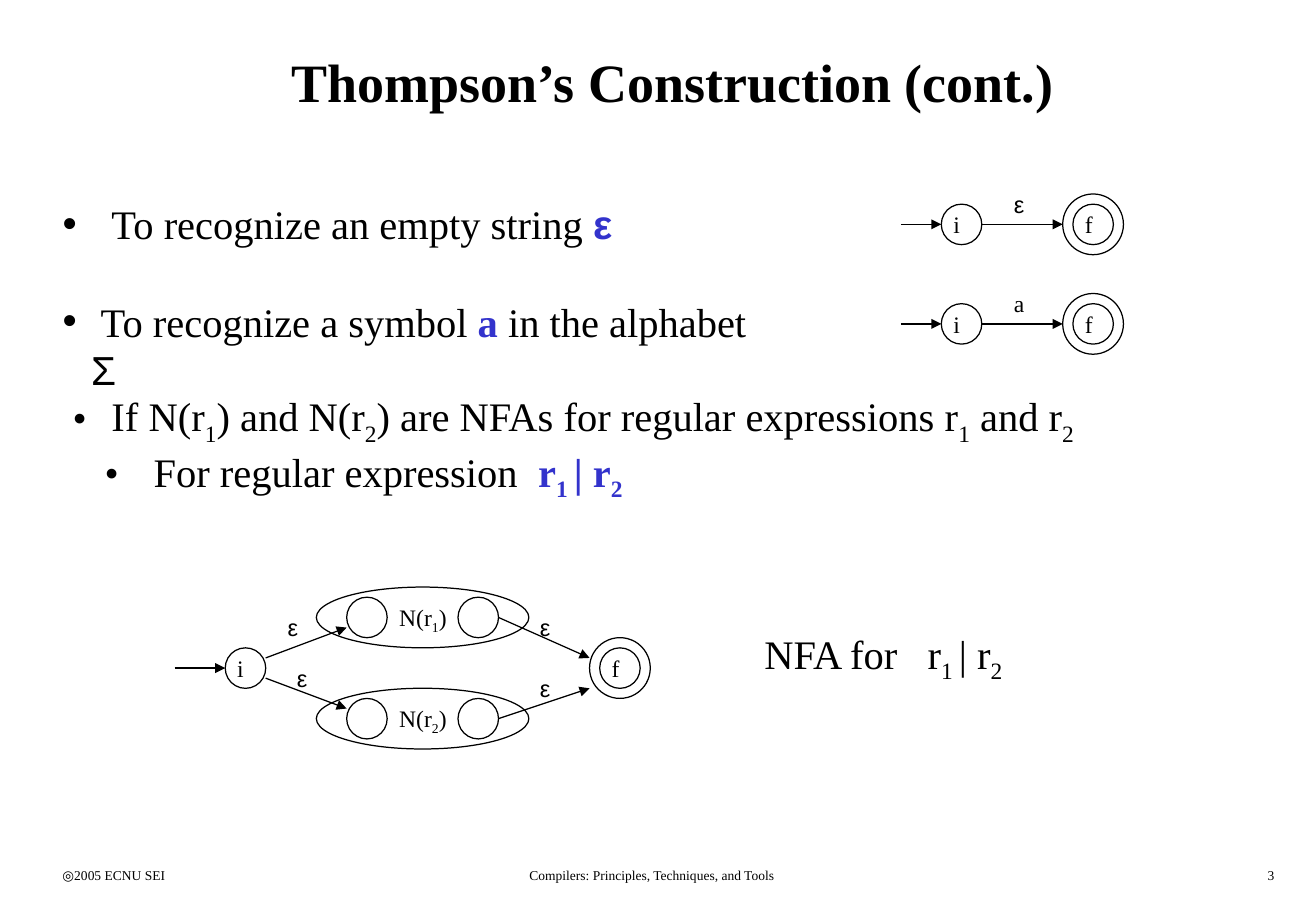
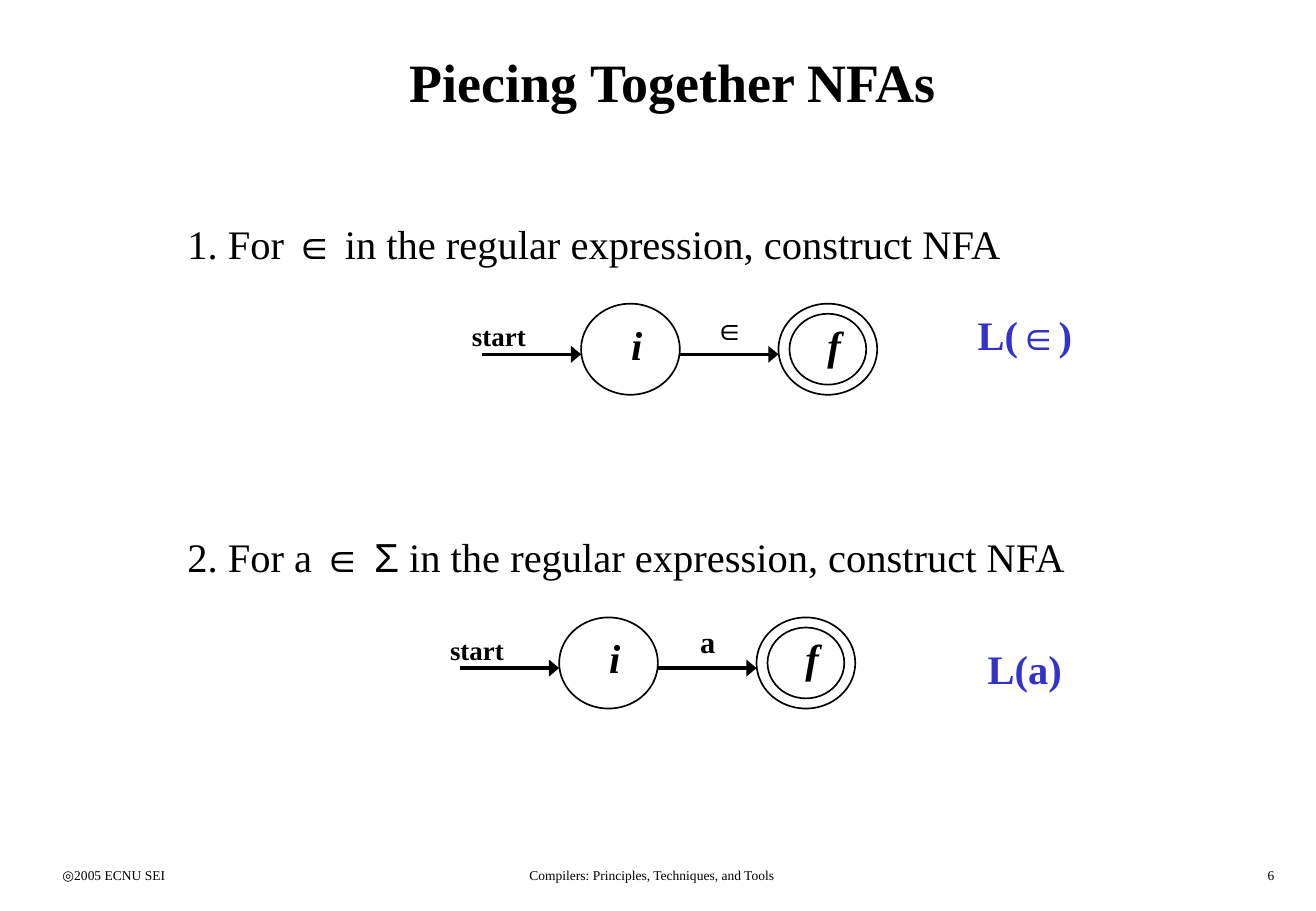
from dataclasses import dataclass

from lxml import etree
from pptx import Presentation
from pptx.dml.color import RGBColor
from pptx.enum.shapes import MSO_CONNECTOR, MSO_SHAPE
from pptx.enum.text import MSO_ANCHOR, PP_ALIGN
from pptx.oxml.ns import qn
from pptx.util import Pt

STRAIGHT = MSO_CONNECTOR.STRAIGHT
OVAL = MSO_SHAPE.OVAL
LEFT, CENTER, RIGHT = PP_ALIGN.LEFT, PP_ALIGN.CENTER, PP_ALIGN.RIGHT
MIDDLE = MSO_ANCHOR.MIDDLE


@dataclass(frozen=True)
class Theme:
    serif: str = "Times New Roman"
    sans: str = "Arial"
    ink: RGBColor = RGBColor(0, 0, 0)
    accent: RGBColor = RGBColor(0x33, 0x33, 0xCC)
    title: int = 32
    body: int = 24
    symbol: int = 18
    start: int = 16
    label: int = 14
    footer: int = 8
    thin: float = 0.75
    outline: float = 1
    thick: float = 2


T = Theme()
WIDTH, HEIGHT = 780.13, 540

BOLD, ITALIC, SANS, ACCENT, SUB, WIDE, WIDER = "biac_wW"
GAPS = {WIDE: 6, WIDER: 12}
KEY = BOLD + ACCENT

FOOTERS = [
    ("◎2005 ECNU SEI", 30, 163, LEFT),
    ("Compilers: Principles, Techniques, and Tools", 240.5, 292, CENTER),
]
PAGE_NUMBER = (599.5, 163, RIGHT)

BASIC_RULES = [
    ([("To recognize an empty string ", ""), ("ε", KEY + SANS)], 29, 29, 0),
    ([(" To recognize a symbol", ""), (" a", KEY),
      (" in the alphabet ", ""), ("Σ", SANS)], 17, 17, 29),
]
UNION_RULES = [
    ([("If N(r", ""), ("1", SUB), (") and N(r", ""), ("2", SUB),
      (") are NFAs for regular expressions r", ""), ("1", SUB),
      (" and r", ""), ("2", SUB)], 23, 23, 0),
    ([("For regular expression", ""), (" ", WIDE), ("r", KEY),
      ("1 ", KEY + SUB), ("| r", KEY), ("2", KEY + SUB)], 48, 29, 0),
]
UNION_CAPTION = [("NFA for", ""), (" ", WIDER), ("r", ""), ("1 ", SUB),
                 ("| r", ""), ("2", SUB)]
BASIC_NFAS = [(133, "ε", SANS), (192, "a", "")]
UNION_BRANCHES = [(-1, "1", 390), (1, "2", 408)]
UNION_EPSILONS = [(163.5, 360), (169, 390), (313, 360), (313, 396)]

CONSTRUCT = " in the regular expression, construct NFA"
PIECES = [
    dict(top=126, left=344.5, symbol=("∈", BOLD + SANS), language_top=180,
         rule=[("1. For ", ""), ("∈", SANS), (CONSTRUCT, "")],
         language=[("L(", KEY), ("∈", KEY + SANS), (")", KEY)]),
    dict(top=312, left=331.5, symbol=("a", BOLD), language_top=378,
         rule=[("2. For a ", ""), ("∈ Σ", SANS), (CONSTRUCT, "")],
         language=[("L(a)", KEY)]),
]


def add_runs(p, runs, size):
    for text, flags in runs:
        r = p.add_run()
        r.text = text
        r.font.size = Pt(size)
        r.font.name = T.sans if SANS in flags else T.serif
        r.font.bold = BOLD in flags
        r.font.italic = ITALIC in flags
        r.font.color.rgb = T.accent if ACCENT in flags else T.ink
        rPr = r.font._element
        if SUB in flags:
            rPr.set("baseline", "-25000")
        for flag, gap in GAPS.items():
            if flag in flags:
                rPr.set("spc", str(gap * 100))


def add_text(s, box, runs, size, align=LEFT, wrap=True, anchor=None):
    tf = s.shapes.add_textbox(*map(Pt, box)).text_frame
    tf.word_wrap = wrap
    if anchor is not None:
        tf.vertical_anchor = anchor
    p = tf.paragraphs[0]
    p.alignment = align
    add_runs(p, runs, size)


def add_bullets(s, box, items, bullet_font):
    tf = s.shapes.add_textbox(*map(Pt, box)).text_frame
    tf.word_wrap = True
    for n, (runs, margin, hang, before) in enumerate(items):
        p = tf.add_paragraph() if n else tf.paragraphs[0]
        pPr = p._p.get_or_add_pPr()
        pPr.set("marL", str(Pt(margin)))
        pPr.set("indent", str(-Pt(hang)))
        etree.SubElement(pPr, qn("a:buFont")).set("typeface", bullet_font)
        etree.SubElement(pPr, qn("a:buChar")).set("char", "•")
        if before:
            p.space_before = Pt(before)
        add_runs(p, runs, T.body)


def add_label(s, x, y, runs, width=20):
    add_text(s, (x, y, width, 24.5), runs, T.label, wrap=False)


def add_oval(s, x, y, w, h, weight=T.thin):
    sp = s.shapes.add_shape(OVAL, *map(Pt, (x, y, w, h)))
    sp.shadow.inherit = False
    sp.fill.background()
    sp.line.color.rgb = T.ink
    sp.line.width = Pt(weight)


def add_arrow(s, x1, y1, x2, y2, weight=T.thin, head="med"):
    c = s.shapes.add_connector(STRAIGHT, *map(Pt, (x1, y1, x2, y2)))
    c.line.color.rgb = T.ink
    c.line.width = Pt(weight)
    tail = etree.SubElement(c.line._get_or_add_ln(), qn("a:tailEnd"))
    tail.set("type", "triangle")
    tail.set("w", head)
    etree.SubElement(c._element.spPr, qn("a:effectLst"))


def add_state(s, x, cy, name=None, final=False):
    if final:
        add_oval(s, x, cy - 18, 36, 36)
        x += 6
    add_oval(s, x, cy - 12, 24, 24)
    if name:
        add_label(s, x, cy - 12, [(name, "")], 18.5)


def new_slide(prs, title, number):
    s = prs.slides.add_slide(prs.slide_layouts[6])
    for text, x, w, align in FOOTERS + [(number, *PAGE_NUMBER)]:
        add_text(s, (x, 510.5, w, 18), [(text, "")], T.footer, align)
    add_text(s, (30, 12, 738, 72), [(title, BOLD)], T.title, CENTER,
             anchor=MIDDLE)
    return s


def draw_basic_nfa(s, cy, symbol, flags):
    add_state(s, 558, cy, "i")
    add_state(s, 630, cy, "f", final=True)
    add_arrow(s, 534, cy, 558, cy)
    add_arrow(s, 582, cy, 630, cy)
    add_label(s, 594, cy - 24, [(symbol, flags)])


def draw_union_nfa(s, cy=396):
    add_state(s, 133.5, cy, "i")
    add_state(s, 349.5, cy, "f", final=True)
    add_arrow(s, 103.5, cy, 133.5, cy)
    for side, index, end in UNION_BRANCHES:
        y = cy + 30 * side
        add_oval(s, 187.5, y - 18, 126, 36)
        add_state(s, 205.5, y)
        add_state(s, 271.5, y)
        add_label(s, 229.5, y - 12,
                  [("N(r", ""), (index, SUB), (")", "")], 42.5)
        add_arrow(s, 157.5, cy + 6 * side, 205.5, cy + 24 * side)
        add_arrow(s, 295.5, y, 349.5, end)
    for x, y in UNION_EPSILONS:
        add_label(s, x, y, [("ε", SANS)])


def draw_piece(s, top, left, symbol, language_top, rule, language):
    add_text(s, (104, top, 650, 36), rule, T.body)
    y = top + 54
    w, h, step = 58.5, 54, 117
    for x in (left, left + step):
        add_oval(s, x, y, w, h, T.outline)
        add_arrow(s, x - w, y + 30, x, y + 30, T.thick, "lg")
    add_oval(s, left + step + 6.5, y + 6, 45.5, 42, T.outline)
    add_text(s, (left + 65.5, y, 45, 29), [symbol], T.symbol, CENTER)
    add_text(s, (left - 78, y + 6, w, 26.5), [("start", BOLD)], T.start,
             CENTER)
    for n, name in enumerate("if"):
        add_text(s, (left + 13.5 + step * n, y + 6, 39, 36),
                 [(name, BOLD + ITALIC)], T.body, CENTER)
    add_text(s, (546, language_top, 123, 36), language, T.body, CENTER)


def main():
    prs = Presentation()
    prs.slide_width, prs.slide_height = Pt(WIDTH), Pt(HEIGHT)

    s = new_slide(prs, "Thompson’s Construction (cont.)", "3")
    add_bullets(s, (30, 114.5, 433.5, 122), BASIC_RULES, T.sans)
    add_bullets(s, (36, 228.5, 611, 73), UNION_RULES, T.serif)
    for nfa in BASIC_NFAS:
        draw_basic_nfa(s, *nfa)
    draw_union_nfa(s)
    add_text(s, (446, 369.5, 158.5, 40), UNION_CAPTION, T.body, wrap=False)

    s = new_slide(prs, "Piecing Together NFAs", "6")
    for piece in PIECES:
        draw_piece(s, **piece)

    prs.save("out.pptx")


if __name__ == "__main__":
    main()
